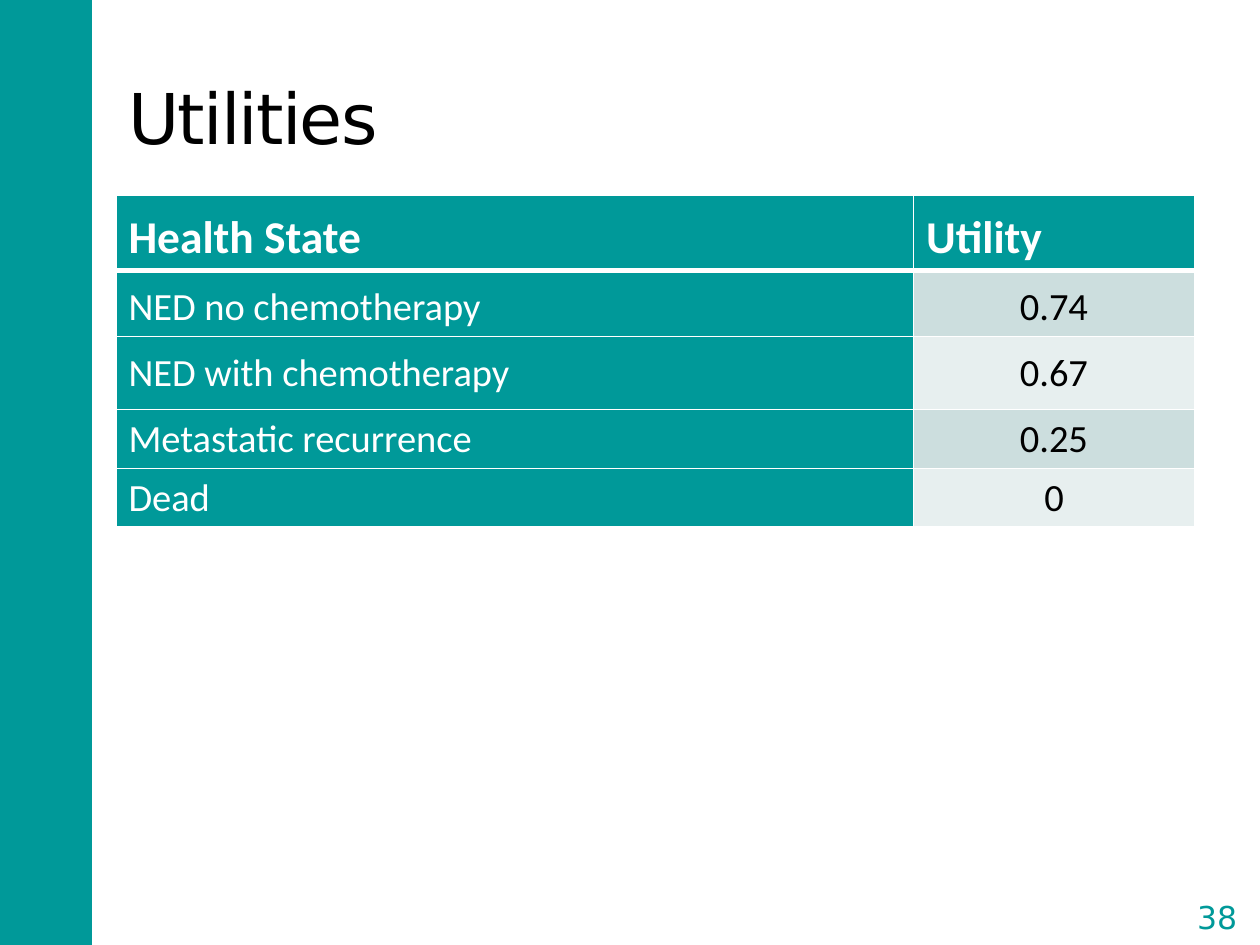
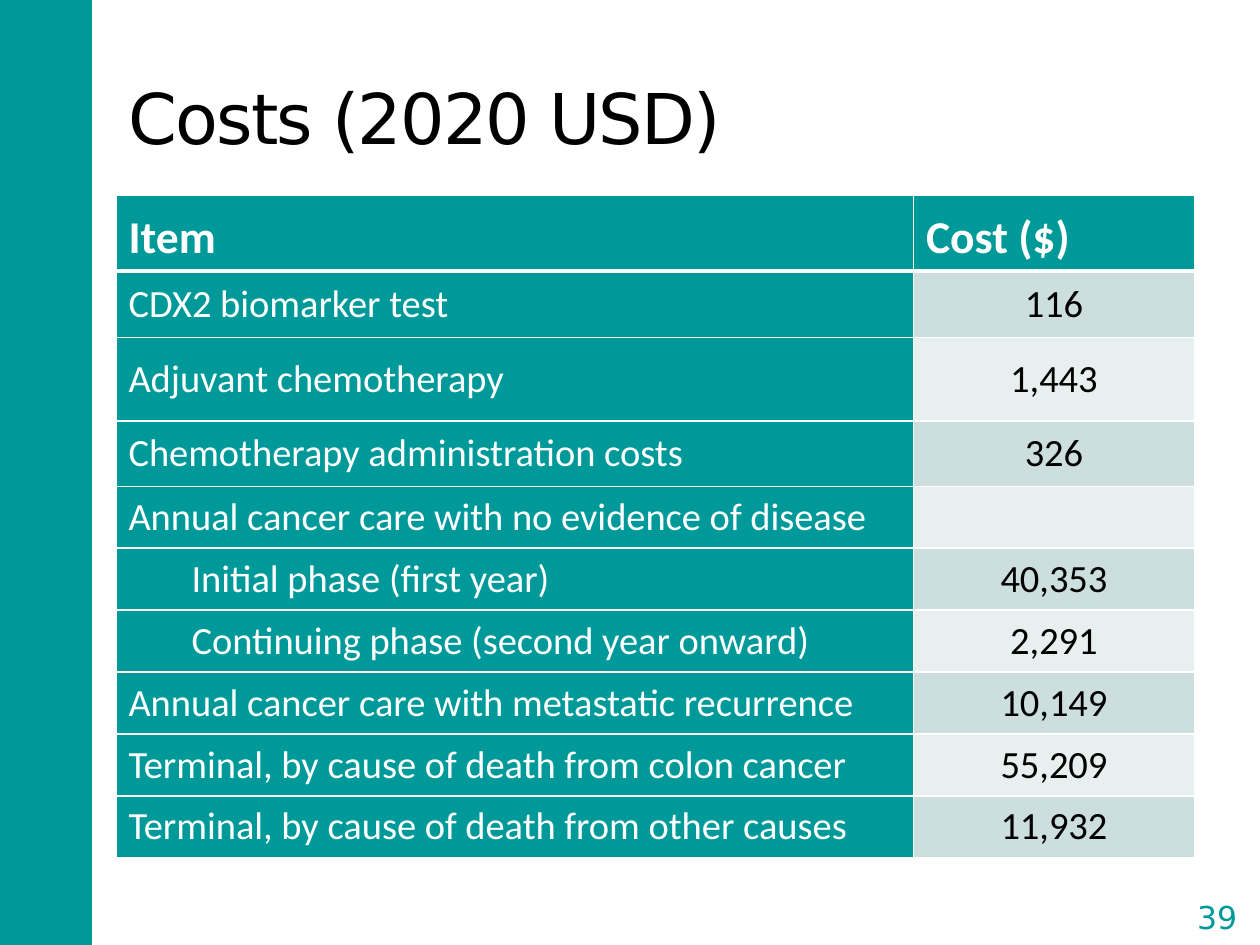
"""Build two slides of model inputs: utilities and costs."""
from dataclasses import dataclass

from lxml.etree import SubElement
from pptx import Presentation
from pptx.dml.color import RGBColor
from pptx.enum.shapes import MSO_SHAPE
from pptx.enum.text import MSO_ANCHOR, PP_ALIGN
from pptx.oxml.ns import qn
from pptx.slide import Slide
from pptx.table import _Cell
from pptx.text.text import _Paragraph
from pptx.util import Pt

TEAL = RGBColor(0x00, 0x99, 0x99)
WHITE = RGBColor(0xFF, 0xFF, 0xFF)
BLACK = RGBColor(0x00, 0x00, 0x00)
BANDS = (RGBColor(0xCC, 0xDE, 0xDE), RGBColor(0xE7, 0xEF, 0xEF))
TITLE_FONT = "DejaVu Sans"
TABLE_FONT = "Calibri"
LEFT = Pt(66.24)
TABLE_TOP = Pt(111.6)
COLUMN_WIDTHS = (Pt(455.76), Pt(160.56))
THIN, THICK = Pt(1), Pt(3)
BODY_SIZE, HEADER_SIZE = 22, 26
LOOSE = 1.15


@dataclass(frozen=True)
class Row:
    """One line of a table: its label, value and height in points."""
    label: str
    value: str
    height: float
    indented: bool = False
    line_spacing: float = 1.0


@dataclass(frozen=True)
class TableSlide:
    """A numbered slide with a title and a table whose first row is the header."""
    number: int
    title: str
    rows: tuple[Row, ...]


SLIDES = (
    TableSlide(38, "Utilities", (
        Row("Health State", "Utility", 39.6, line_spacing=LOOSE),
        Row("NED no chemotherapy", "0.74", 34.56, line_spacing=LOOSE),
        Row("NED with chemotherapy", "0.67", 41.76),
        Row("Metastatic recurrence", "0.25", 32.4),
        Row("Dead", "0", 32.4),
    )),
    TableSlide(39, "Costs (2020 USD)", (
        Row("Item", "Cost ($)", 43.2, line_spacing=LOOSE),
        Row("CDX2 biomarker test", "116", 38.16),
        Row("Adjuvant chemotherapy", "1,443", 47.52),
        Row("Chemotherapy administration costs", "326", 37.44),
        Row("Annual cancer care with no evidence of disease", "", 35.4),
        Row("Initial phase (first year)", "40,353", 35.4, indented=True),
        Row("Continuing phase (second year onward)", "2,291", 35.4, indented=True),
        Row("Annual cancer care with metastatic recurrence", "10,149", 35.4),
        Row("Terminal, by cause of death from colon cancer", "55,209", 35.4),
        Row("Terminal, by cause of death from other causes", "11,932", 35.4),
    )),
)


def add_run(paragraph: _Paragraph, text: str, font: str, size: float,
            color: RGBColor, bold: bool = False, tracking: float = 0) -> None:
    """Append a formatted run, with letter spacing in points."""
    run = paragraph.add_run()
    run.text = text
    run.font.name = font
    run.font.size = Pt(size)
    run.font.bold = bold
    run.font.color.rgb = color
    if tracking:
        run._r.get_or_add_rPr().set("spc", str(round(tracking * 100)))


def add_side_band(slide: Slide) -> None:
    """Draw the coloured band along the left edge."""
    band = slide.shapes.add_shape(MSO_SHAPE.RECTANGLE, Pt(-1.44), Pt(0), Pt(54), Pt(540))
    band.shadow.inherit = False
    band.fill.solid()
    band.fill.fore_color.rgb = TEAL
    band.line.fill.background()


def add_title(slide: Slide, title: str) -> None:
    """Write the slide title."""
    frame = slide.shapes.add_textbox(LEFT, Pt(21.6), Pt(600), Pt(90)).text_frame
    frame.word_wrap = True
    frame.vertical_anchor = MSO_ANCHOR.MIDDLE
    add_run(frame.paragraphs[0], title, TITLE_FONT, 40, BLACK, tracking=-1)


def add_page_number(slide: Slide, number: int) -> None:
    """Write the page number inside a white bracket pair."""
    brackets = slide.shapes.add_shape(
        MSO_SHAPE.DOUBLE_BRACKET, Pt(673.92), Pt(508.32), Pt(43.2), Pt(30.96))
    brackets.adjustments[0] = 0.18
    brackets.shadow.inherit = False
    brackets.fill.background()
    brackets.line.color.rgb = WHITE
    brackets.line.width = Pt(1.5)
    frame = brackets.text_frame
    frame.margin_left = frame.margin_right = frame.margin_top = frame.margin_bottom = Pt(0)
    frame.vertical_anchor = MSO_ANCHOR.MIDDLE
    paragraph = frame.paragraphs[0]
    paragraph.alignment = PP_ALIGN.CENTER
    add_run(paragraph, str(number), TITLE_FONT, 18, TEAL)


def style_cell(cell: _Cell, fill: RGBColor, top: int, bottom: int) -> None:
    """Give a cell white borders and a solid fill."""
    properties = cell._tc.get_or_add_tcPr()
    for side, width in (("L", THIN), ("R", THIN), ("T", top), ("B", bottom)):
        line = SubElement(properties, qn(f"a:ln{side}"), w=str(width))
        SubElement(SubElement(line, qn("a:solidFill")), qn("a:srgbClr"), val=str(WHITE))
    cell.fill.solid()
    cell.fill.fore_color.rgb = fill
    cell.vertical_anchor = MSO_ANCHOR.MIDDLE


def add_table(slide: Slide, rows: tuple[Row, ...]) -> None:
    """Draw a two-column table with a header and banded values."""
    height = Pt(sum(row.height for row in rows))
    table = slide.shapes.add_table(
        len(rows), len(COLUMN_WIDTHS), LEFT, TABLE_TOP, sum(COLUMN_WIDTHS), height).table
    table.first_row = table.horz_banding = False
    for column, width in zip(table.columns, COLUMN_WIDTHS):
        column.width = width
    for row_index, row in enumerate(rows):
        table.rows[row_index].height = Pt(row.height)
        is_header = row_index == 0
        top = THICK if row_index == 1 else THIN
        bottom = THICK if is_header else THIN
        for column_index, text in enumerate((row.label, row.value)):
            is_value = column_index == 1 and not is_header
            cell = table.cell(row_index, column_index)
            style_cell(cell, BANDS[(row_index - 1) % 2] if is_value else TEAL, top, bottom)
            if not text:
                continue
            paragraph = cell.text_frame.paragraphs[0]
            paragraph.line_spacing = row.line_spacing
            if is_value:
                paragraph.alignment = PP_ALIGN.CENTER
            elif row.indented:
                paragraph._p.get_or_add_pPr().set("marL", str(Pt(36)))
            add_run(paragraph, text, TABLE_FONT, HEADER_SIZE if is_header else BODY_SIZE,
                    BLACK if is_value else WHITE, bold=is_header)


def main() -> None:
    """Build and save the presentation."""
    presentation = Presentation()
    presentation.slide_width = Pt(720)
    presentation.slide_height = Pt(540)
    for content in SLIDES:
        slide = presentation.slides.add_slide(presentation.slide_layouts[6])
        add_side_band(slide)
        add_title(slide, content.title)
        add_page_number(slide, content.number)
        add_table(slide, content.rows)
    presentation.save("out.pptx")


if __name__ == "__main__":
    main()
